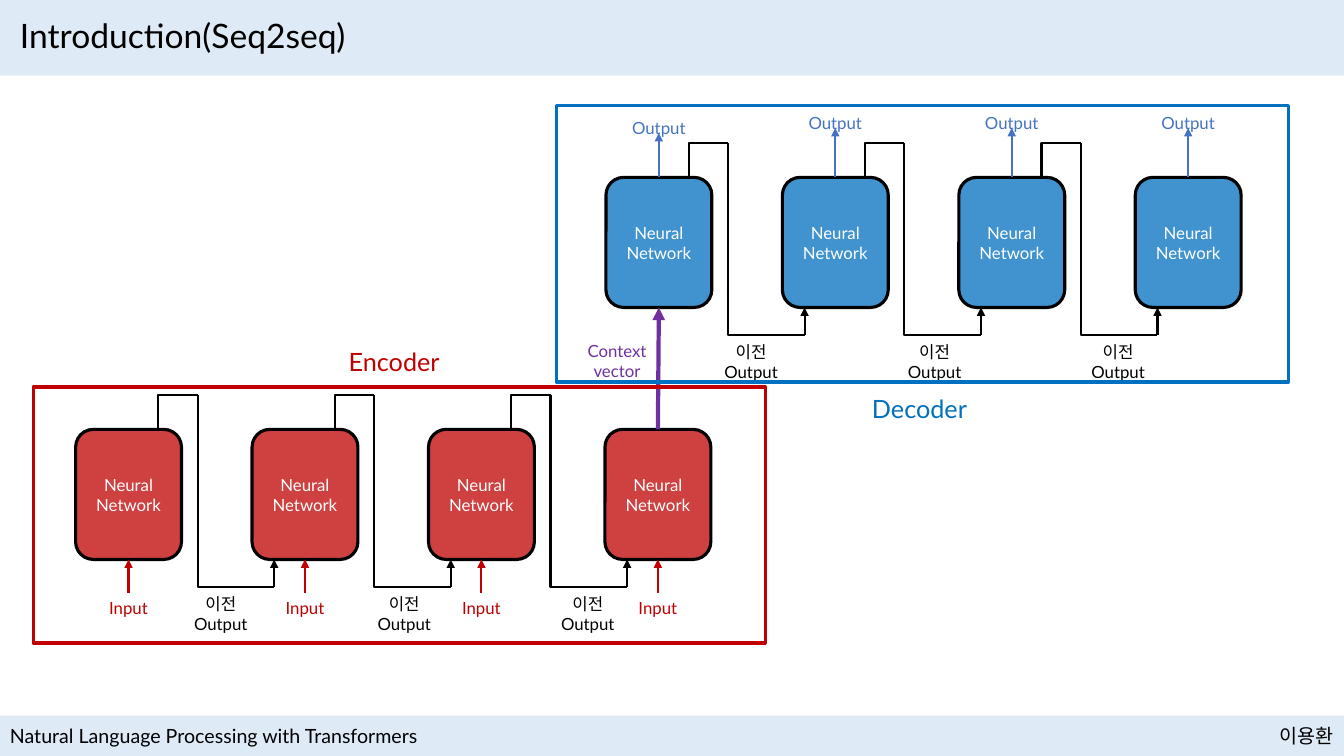
from dataclasses import dataclass

from lxml.etree import SubElement
from pptx import Presentation
from pptx.dml.color import RGBColor
from pptx.enum.shapes import MSO_CONNECTOR, MSO_SHAPE
from pptx.enum.text import MSO_ANCHOR, PP_ALIGN
from pptx.oxml.ns import qn
from pptx.util import Inches, Pt


@dataclass(frozen=True)
class Theme:
    font: str = "Lato"
    band: str = "DEEBF7"
    ink: str = "000000"
    white: str = "FFFFFF"
    encoder: str = "C00000"
    decoder: str = "0070C0"
    output: str = "4472C4"
    context: str = "7030A0"
    title_size: float = 24
    heading_size: float = 18
    footer_size: float = 14
    label_size: float = 12
    thin: float = 1.5
    frame: float = 2.25
    thick: float = 3


BLOCK_W, BLOCK_H, PITCH, BLOCKS = 1.05, 1.29, 1.75, 4
ENCODER_X, ENCODER_Y = 0.75, 4.26
DECODER_X, DECODER_Y = 6.01, 1.76
TOP, BOTTOM = 0, 2  # connection sites


class SlideBuilder:
    def __init__(self, slide, theme):
        self.slide = slide
        self.theme = theme

    def add_lines(self, frame, lines, size, color, align):
        for i, line in enumerate(lines):
            paragraph = frame.paragraphs[0] if i == 0 else frame.add_paragraph()
            paragraph.alignment = align
            run = paragraph.add_run()
            run.text = line
            run.font.name = self.theme.font
            run.font.size = Pt(size)
            run.font.color.rgb = RGBColor.from_string(color)

    def text(self, x, y, w, h, lines, size, color, align=PP_ALIGN.CENTER):
        box = self.slide.shapes.add_textbox(Inches(x), Inches(y), Inches(w), Inches(h))
        box.text_frame.word_wrap = True
        self.add_lines(box.text_frame, lines, size, color, align)
        return box.text_frame

    def label(self, x, y, w, h, lines, color):
        self.text(x, y, w, h, lines, self.theme.label_size, color)

    def shape(self, kind, x, y, w, h, fill=None, line=None):
        shape = self.slide.shapes.add_shape(kind, Inches(x), Inches(y), Inches(w), Inches(h))
        shape.shadow.inherit = False
        if fill:
            shape.fill.solid()
            shape.fill.fore_color.rgb = RGBColor.from_string(fill)
        else:
            shape.fill.background()
        if line:
            shape.line.color.rgb = RGBColor.from_string(line)
            shape.line.width = Pt(self.theme.frame)
        else:
            shape.line.fill.background()
        return shape

    def block(self, x, y, fill):
        block = self.shape(MSO_SHAPE.ROUNDED_RECTANGLE, x, y, BLOCK_W, BLOCK_H, fill, self.theme.ink)
        color = block._element.spPr.find(qn("a:solidFill")).find(qn("a:srgbClr"))
        SubElement(color, qn("a:alpha"), val="75000")
        block.text_frame.vertical_anchor = MSO_ANCHOR.MIDDLE
        self.add_lines(block.text_frame, ["Neural", "Network"], self.theme.label_size,
                       self.theme.white, PP_ALIGN.CENTER)
        return block

    def connector(self, start, end, color, width, kind=MSO_CONNECTOR.STRAIGHT, arrow=True):
        line = self.slide.shapes.add_connector(kind, *map(Inches, start + end))
        line.line.color.rgb = RGBColor.from_string(color)
        line.line.width = Pt(width)
        properties = line._element.spPr
        if arrow:
            SubElement(properties.find(qn("a:ln")), qn("a:tailEnd"), type="triangle")
        SubElement(properties, qn("a:effectLst"))
        if kind == MSO_CONNECTOR.ELBOW:
            # Turn at the start: vertical leg first, then horizontal
            adjustments = properties.find(qn("a:prstGeom")).find(qn("a:avLst"))
            SubElement(adjustments, qn("a:gd"), name="adj1", fmla="val 0")
        return line

    def feedback(self, x, y):
        """Carry the output of the block at x, y to the foot of the next one."""
        leave, turn, arrive = x + 0.82, x + 1.21, x + 1.97
        over, under = y - 0.34, y + 1.56
        ink, thin = self.theme.ink, self.theme.thin
        for start, end in (((leave, y), (turn, over)), ((turn, over), (arrive, under))):
            self.connector(start, end, ink, thin, MSO_CONNECTOR.ELBOW, arrow=False)
        self.connector((arrive, under), (arrive, y + BLOCK_H), ink, thin)

    def network(self, x, y, fill):
        lefts = [x + PITCH * i for i in range(BLOCKS)]
        blocks = [self.block(left, y, fill) for left in lefts]
        for i, left in enumerate(lefts[:-1]):
            self.feedback(left, y)
            self.label(x + 1.04 + 1.82 * i, y + 1.58, 0.8, 0.32, ["이전", "Output"], self.theme.ink)
        return lefts, blocks


def main():
    theme = Theme()
    deck = Presentation()
    deck.slide_width, deck.slide_height = Inches(13.33), Inches(7.5)
    page = SlideBuilder(deck.slides.add_slide(deck.slide_layouts[6]), theme)

    # Header and footer
    for top, height in ((0, 0.75), (7.1, 0.4)):
        page.shape(MSO_SHAPE.RECTANGLE, 0, top, 13.33, height, theme.band)
    page.text(0, 7.13, 4.5, 0.34, ["Natural Language Processing with Transformers"],
              theme.footer_size, theme.ink, PP_ALIGN.LEFT)
    page.text(12.42, 7.13, 0.91, 0.34, ["이용환"], theme.footer_size, theme.ink, PP_ALIGN.RIGHT)
    title = page.text(0.1, 0.1, 13.14, 0.55, ["Introduction(Seq2seq)"],
                      theme.title_size, theme.ink, PP_ALIGN.LEFT)
    title.vertical_anchor = MSO_ANCHOR.MIDDLE
    title.paragraphs[0].line_spacing = 0.9

    # Encoder blocks with their inputs
    encoder_lefts, encoders = page.network(ENCODER_X, ENCODER_Y, theme.encoder)
    for left, block in zip(encoder_lefts, encoders):
        middle = left + BLOCK_W / 2
        feed = page.connector((middle, 5.88), (middle, ENCODER_Y + BLOCK_H), theme.encoder, theme.thin)
        feed.end_connect(block, BOTTOM)
        page.label(middle - 0.32, 5.88, 0.64, 0.19, ["Input"], theme.encoder)

    # Decoder blocks with their outputs
    decoder_lefts, decoders = page.network(DECODER_X, DECODER_Y, theme.decoder)
    for i, (left, block) in enumerate(zip(decoder_lefts, decoders)):
        middle = left + BLOCK_W / 2
        label_top = 1.12 if i == 0 else 1.07
        page.label(middle - 0.4, label_top, 0.8, 0.19, ["Output"], theme.output)
        result = page.connector((middle, DECODER_Y), (middle, label_top + 0.2), theme.output, theme.thin)
        result.begin_connect(block, TOP)

    # Context vector from the last encoder block to the first decoder block
    context = page.connector((6.53, ENCODER_Y), (6.53, DECODER_Y + BLOCK_H), theme.context, theme.thick)
    context.begin_connect(encoders[-1], TOP)
    context.end_connect(decoders[0], BOTTOM)
    page.label(5.72, 3.33, 0.8, 0.5, ["Context", "vector"], theme.context)

    # Frames and their names
    for name, color, (x, y, height), (name_x, name_y) in (
        ("Encoder", theme.encoder, (0.33, 3.84, 2.54), (3.36, 3.39)),
        ("Decoder", theme.decoder, (5.52, 1.05, 2.74), (8.55, 3.85)),
    ):
        page.shape(MSO_SHAPE.RECTANGLE, x, y, 7.26, height, line=color)
        page.text(name_x, name_y, 1.19, 0.4, [name], theme.heading_size, color, PP_ALIGN.LEFT)

    deck.save("out.pptx")


if __name__ == "__main__":
    main()
